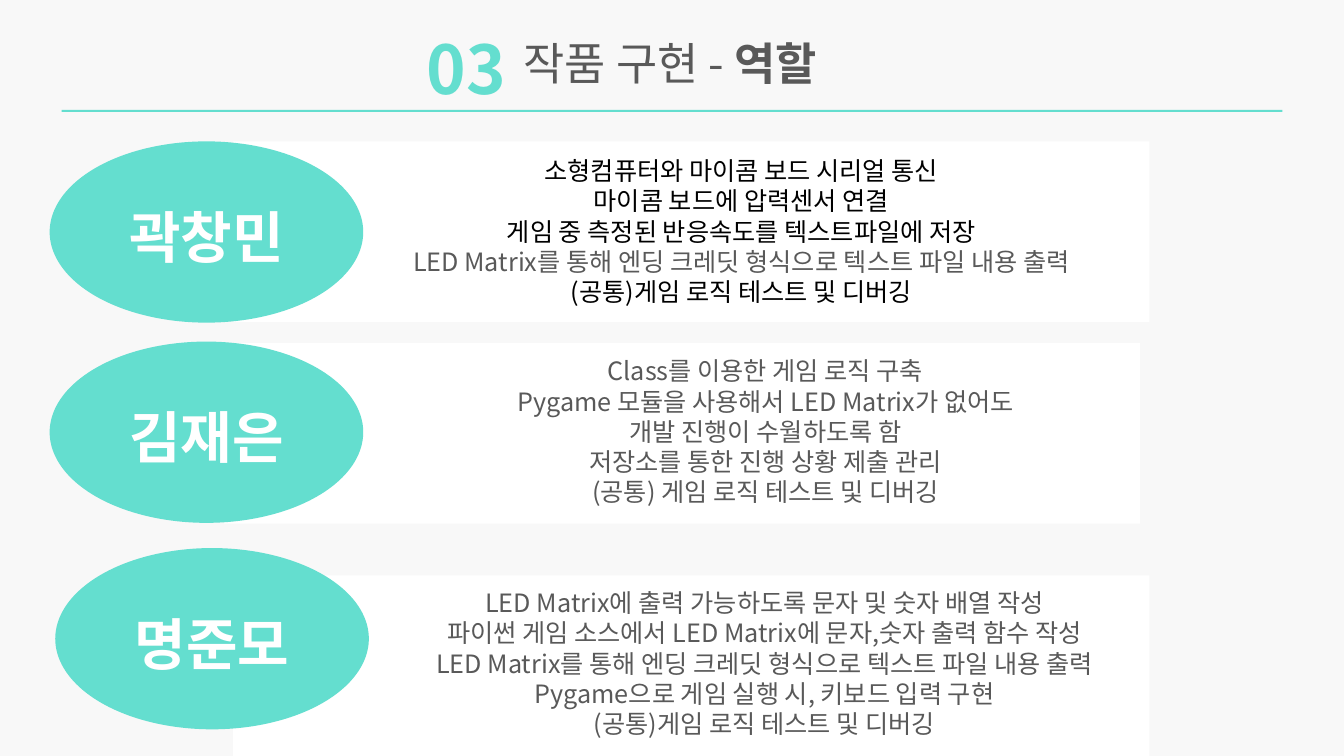
"""Build the slide on project roles: three members and the work each one did."""
from lxml import etree
from pptx import Presentation
from pptx import util as u
from pptx.dml.color import RGBColor
from pptx.enum import shapes, text
from pptx.oxml.ns import qn

TEAL = RGBColor(0x64, 0xDE, 0xCF)
WHITE = RGBColor(0xFF, 0xFF, 0xFF)
GREY = RGBColor(0x59, 0x59, 0x59)
BLACK = RGBColor(0, 0, 0)
BACKDROP = RGBColor(0xF8, 0xF8, 0xF8)
FONT = "Noto Sans CJK KR"

deck = Presentation()
deck.slide_width, deck.slide_height = u.Pt(960), u.Pt(540)
slide = deck.slides.add_slide(deck.slide_layouts[6])
slide.background.fill.solid()
slide.background.fill.fore_color.rgb = BACKDROP


def add_block(kind, left, top, width, height, color):
    block = slide.shapes.add_shape(kind, u.Pt(left), u.Pt(top), u.Pt(width), u.Pt(height))
    block.shadow.inherit = False
    block.fill.solid()
    block.fill.fore_color.rgb = color
    block.line.fill.background()
    return block


def write(frame, lines, size, leading, align=text.PP_ALIGN.CENTER, wrap=True):
    frame.word_wrap = wrap
    for index, runs in enumerate(lines):
        paragraph = frame.add_paragraph() if index else frame.paragraphs[0]
        paragraph.alignment = align
        paragraph.line_spacing = u.Pt(size * leading)
        for words, color, bold in runs:
            run = paragraph.add_run()
            run.text = words
            run.font.size = u.Pt(size)
            run.font.bold = bold
            run.font.color.rgb = color
            run.font.name = FONT
            etree.SubElement(run.font._element, qn("a:ea"), typeface=FONT)


add_block(shapes.MSO_SHAPE.RECTANGLE, 44, 78.5, 872, 1.5, TEAL)

headings = [
    (367, 20, 305, 46, 32, True, [("작품 구현 - ", GREY, False), ("역할", GREY, True)]),
    (297.5, 13.5, 132, 65.5, 48, False, [("03", TEAL, True)]),
]
for left, top, width, height, size, wrap, runs in headings:
    heading = slide.shapes.add_textbox(u.Pt(left), u.Pt(top), u.Pt(width), u.Pt(height))
    write(heading.text_frame, [runs], size, 1.25, align=text.PP_ALIGN.LEFT, wrap=wrap)

CREDITS = "LED Matrix를 통해 엔딩 크레딧 형식으로 텍스트 파일 내용 출력"
SHARED = "(공통)게임 로직 테스트 및 디버깅"

members = [
    ("곽창민", (35.5, 101), (166.5, 101), (271.5, 107.5, 516), [
        ("소형컴퓨터와 마이콤 보드 시리얼 통신", BLACK),
        ("마이콤 보드에 압력센서 연결", BLACK),
        ("게임 중 측정된 반응속도를 텍스트파일에 저장", BLACK),
        (CREDITS, GREY),
        (SHARED, BLACK),
    ]),
    ("김재은", (35.5, 244), (160, 245), (280, 250.5, 533.5), [
        ("Class를 이용한 게임 로직 구축", GREY),
        ("Pygame 모듈을 사용해서 LED Matrix가 없어도", GREY),
        ("개발 진행이 수월하도록 함", GREY),
        ("저장소를 통한 진행 상황 제출 관리", GREY),
        ("(공통) 게임 로직 테스트 및 디버깅", GREY),
    ]),
    ("명준모", (39.5, 391.5), (166.5, 411), (294.5, 416, 503), [
        ("LED Matrix에 출력 가능하도록 문자 및 숫자 배열 작성", GREY),
        ("파이썬 게임 소스에서 LED Matrix에 문자,숫자 출력 함수 작성", GREY),
        (CREDITS, GREY),
        ("Pygame으로 게임 실행 시, 키보드 입력 구현", GREY),
        (SHARED, GREY),
    ]),
]
for member, badge_at, panel_at, (left, top, width), tasks in members:
    add_block(shapes.MSO_SHAPE.RECTANGLE, *panel_at, 654.5, 129, WHITE)
    badge = add_block(shapes.MSO_SHAPE.OVAL, *badge_at, 224, 129.5, TEAL)
    badge.text_frame.vertical_anchor = text.MSO_ANCHOR.MIDDLE
    write(badge.text_frame, [[(member, WHITE, True)]], 40, 1.35)
    duties = slide.shapes.add_textbox(u.Pt(left), u.Pt(top), u.Pt(width), u.Pt(117))
    write(duties.text_frame, [[(task, color, False)] for task, color in tasks], 18, 1.2)

deck.save("out.pptx")
